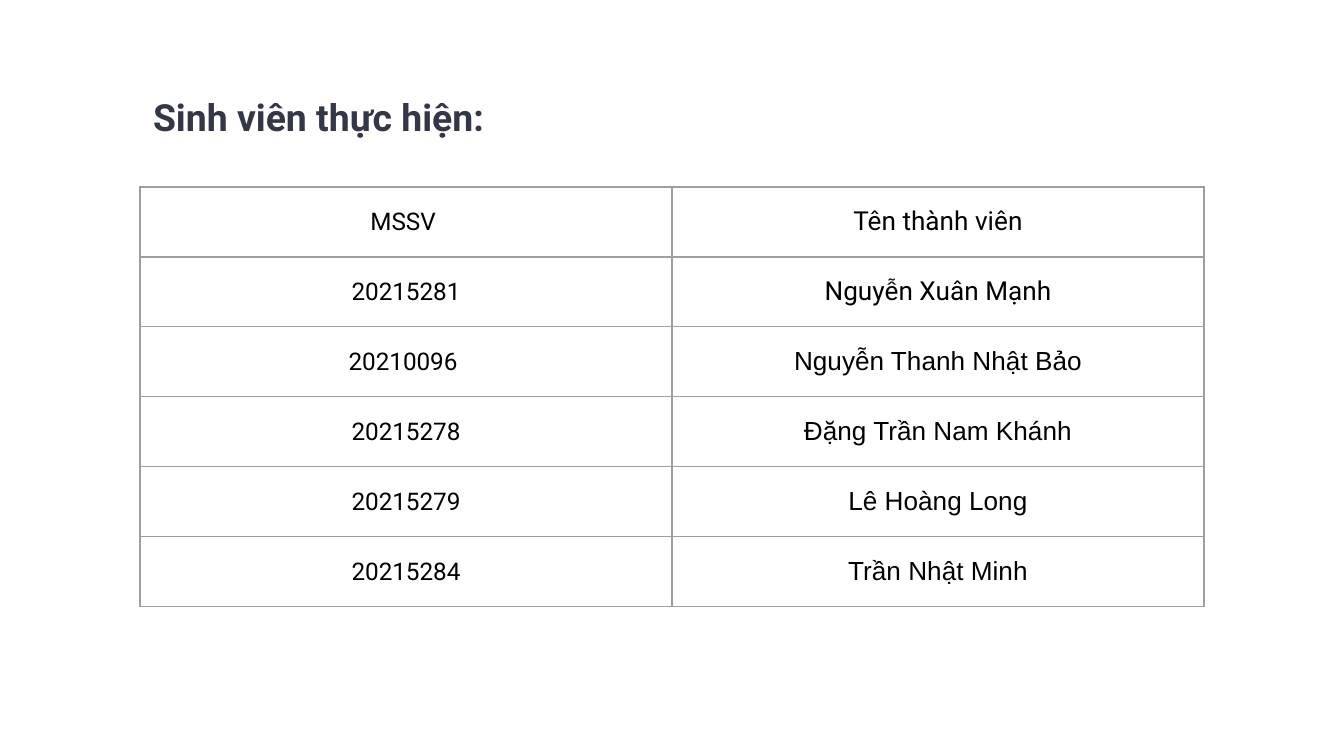
from lxml import etree
from pptx import Presentation
from pptx.dml.color import RGBColor
from pptx.enum.text import MSO_ANCHOR, PP_ALIGN
from pptx.oxml.ns import qn
from pptx.util import Pt

LEFT, CENTER = PP_ALIGN.LEFT, PP_ALIGN.CENTER
TOP, MIDDLE = MSO_ANCHOR.TOP, MSO_ANCHOR.MIDDLE

# Content
TITLE = "Sinh viên thực hiện:"
MEMBERS = [  # student number, name, font of the name
    ("MSSV ", "Tên thành viên", "Roboto"),
    ("20215281", "Nguyễn Xuân Mạnh", "Roboto"),
    ("20210096 ", "Nguyễn Thanh Nhật Bảo", "Arial"),
    ("20215278", "Đặng Trần Nam Khánh", "Arial"),
    ("20215279", "Lê Hoàng Long", "Arial"),
    ("20215284", "Trần Nhật Minh", "Arial"),
]

# Layout in px
SLIDE_WIDTH, SLIDE_HEIGHT = 1344, 756
MARGIN = 140
TITLE_TOP, TITLE_WIDTH, TITLE_HEIGHT = 81, 809, 73
TABLE_TOP, ROW_HEIGHT = 187, 70
INSET = 13


def px(length):
    return round(length * 914400 / 134.4)


def color(value):
    return RGBColor.from_string(value)


def write(frame, text, size, font="Roboto", fill="000000", bold=False, align=CENTER):
    paragraph = frame.paragraphs[0]
    paragraph.alignment = align
    run = paragraph.add_run()
    run.text = text
    run.font.size = Pt(size)
    run.font.name = font
    run.font.bold = bold
    run.font.color.rgb = color(fill)


def set_insets(box):
    box.margin_left = box.margin_right = px(INSET)
    box.margin_top = box.margin_bottom = px(INSET)


def set_borders(cell, line_color, width):
    properties = cell._tc.get_or_add_tcPr()
    for index, side in enumerate(("a:lnL", "a:lnR", "a:lnT", "a:lnB")):
        line = etree.Element(qn(side), w=str(Pt(width)))
        fill = etree.SubElement(line, qn("a:solidFill"))
        etree.SubElement(fill, qn("a:srgbClr"), val=line_color)
        properties.insert(index, line)


presentation = Presentation()
presentation.slide_width = px(SLIDE_WIDTH)
presentation.slide_height = px(SLIDE_HEIGHT)
slide = presentation.slides.add_slide(presentation.slide_layouts[5])
slide.background.fill.solid()
slide.background.fill.fore_color.rgb = color("FFFFFF")

# Title
title = slide.shapes.title
title.left, title.top = px(MARGIN), px(TITLE_TOP)
title.width, title.height = px(TITLE_WIDTH), px(TITLE_HEIGHT)
title.text_frame.vertical_anchor = TOP
title.text_frame.word_wrap = True
set_insets(title.text_frame)
write(title.text_frame, TITLE, 20, fill="333746", bold=True, align=LEFT)

# Member table
table_width = SLIDE_WIDTH - 2 * MARGIN
table = slide.shapes.add_table(
    len(MEMBERS), 2, px(MARGIN), px(TABLE_TOP),
    px(table_width), px(ROW_HEIGHT * len(MEMBERS))).table
table.first_row = table.horz_banding = False
for column in table.columns:
    column.width = px(table_width / 2)

for row, (number, name, name_font) in enumerate(MEMBERS):
    table.rows[row].height = px(ROW_HEIGHT)
    for column, (text, size, font) in enumerate(
            [(number, 13, "Roboto"), (name, 14, name_font)]):
        cell = table.cell(row, column)
        cell.fill.background()
        cell.vertical_anchor = MIDDLE
        set_insets(cell)
        set_borders(cell, "9E9E9E", 0.75)
        write(cell.text_frame, text, size, font=font)

presentation.save("out.pptx")
